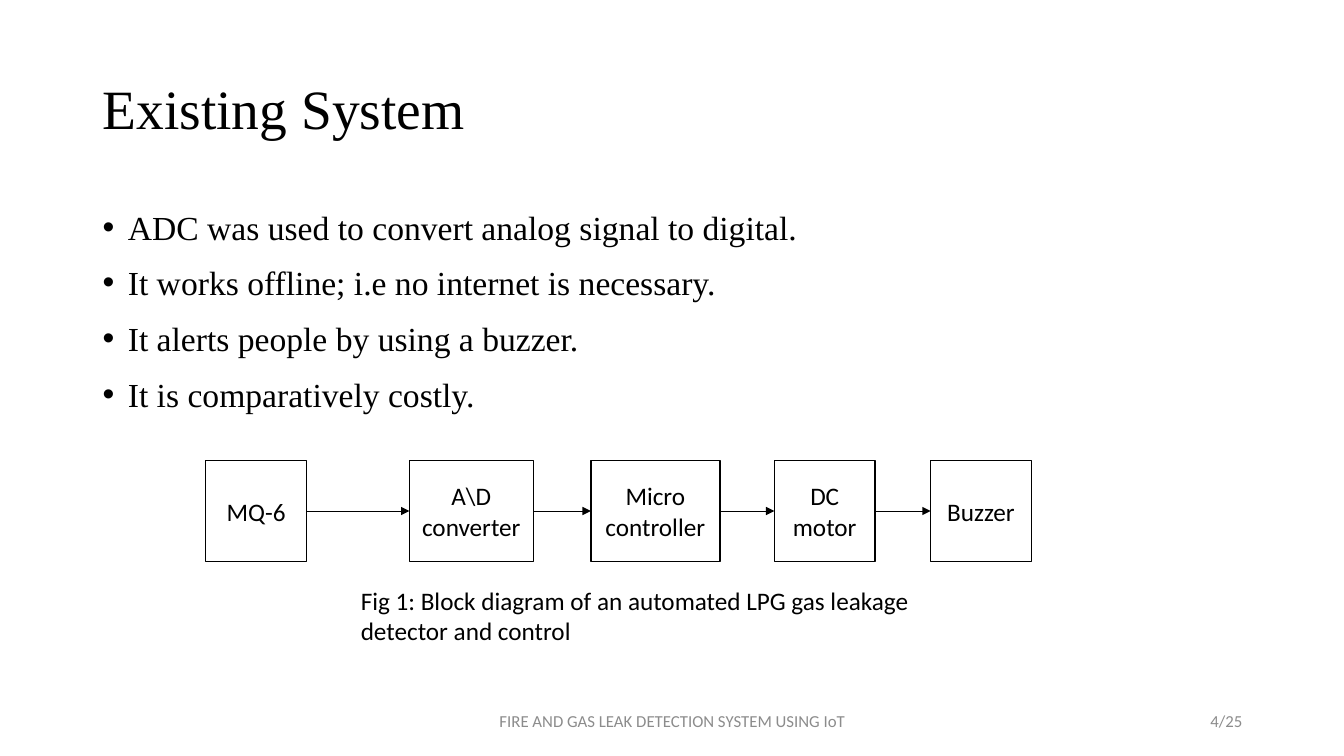
from dataclasses import dataclass

from lxml import etree
from pptx import Presentation
from pptx.dml.color import RGBColor
from pptx.enum.shapes import MSO_CONNECTOR, MSO_SHAPE
from pptx.enum.text import MSO_ANCHOR, PP_ALIGN
from pptx.oxml.ns import qn
from pptx.util import Inches, Pt

LEFT, CENTER, RIGHT = PP_ALIGN.LEFT, PP_ALIGN.CENTER, PP_ALIGN.RIGHT
TOP, MIDDLE = MSO_ANCHOR.TOP, MSO_ANCHOR.MIDDLE
RECT, STRAIGHT = MSO_SHAPE.RECTANGLE, MSO_CONNECTOR.STRAIGHT
SERIF, SANS = "Times New Roman", "Calibri"
COLORS = {"ink": "000000", "paper": "FFFFFF", "footer": "8C8C8C"}
BLOCK_TOP, BLOCK_HEIGHT = 4.57, 1


@dataclass
class Label:
    lines: list[str]
    left: float
    top: float
    width: float
    height: float
    size: float
    font: str = SANS
    color: str = "ink"
    align: PP_ALIGN = LEFT
    anchor: MSO_ANCHOR = TOP
    spacing: float = 1.0
    bulleted: bool = False


@dataclass
class Block:
    text: str
    left: float
    width: float = 1


LABELS = [
    Label(["Existing System"], 0.92, 0.79, 11.57, 0.64, 39.6, SERIF,
          anchor=MIDDLE, spacing=0.9),
    Label(["ADC was used to convert analog signal to digital.",
           "It works offline; i.e no internet is necessary.",
           "It alerts people by using a buzzer.",
           "It is comparatively costly."],
          0.92, 2, 11.5, 2.4, 24, SERIF, bulleted=True),
    Label(["Fig 1: Block diagram of an automated LPG gas leakage detector and control"],
          3.48, 5.76, 6.38, 1.01, 18),
    Label(["FIRE AND GAS LEAK DETECTION SYSTEM USING IoT"],
          4.42, 6.95, 4.5, 0.4, 12, color="footer", align=CENTER, anchor=MIDDLE),
    Label(["4/25"], 9.42, 6.95, 3, 0.4, 12,
          color="footer", align=RIGHT, anchor=MIDDLE),
]
BLOCKS = [
    Block("MQ-6", 2.04),
    Block("A\\D converter", 4.06, 1.23),
    Block("Micro controller", 5.86, 1.28),
    Block("DC motor", 7.68),
    Block("Buzzer", 9.23),
]


def rgb(name: str) -> RGBColor:
    return RGBColor.from_string(COLORS[name])


def add_run(p, text: str, size: float, font: str, color: str) -> None:
    r = p.add_run()
    r.text = text
    r.font.size = Pt(size)
    r.font.name = font
    r.font.color.rgb = rgb(color)


def add_bullet(p) -> None:
    p.space_before = Pt(11)
    pPr = p._p.get_or_add_pPr()
    pPr.set("marL", str(Inches(0.25)))
    pPr.set("indent", str(-Inches(0.25)))
    etree.SubElement(pPr, qn("a:buFont")).set("typeface", "Arial")
    etree.SubElement(pPr, qn("a:buChar")).set("char", "•")


def add_label(s, label: Label) -> None:
    sp = s.shapes.add_textbox(Inches(label.left), Inches(label.top),
                              Inches(label.width), Inches(label.height))
    tf = sp.text_frame
    tf.word_wrap = True
    tf.vertical_anchor = label.anchor
    for i, line in enumerate(label.lines):
        p = tf.add_paragraph() if i else tf.paragraphs[0]
        p.alignment = label.align
        p.line_spacing = label.spacing
        if label.bulleted:
            add_bullet(p)
        add_run(p, line, label.size, label.font, label.color)


def add_block(s, block: Block) -> None:
    sp = s.shapes.add_shape(RECT, Inches(block.left), Inches(BLOCK_TOP),
                            Inches(block.width), Inches(BLOCK_HEIGHT))
    sp.shadow.inherit = False
    sp.fill.solid()
    sp.fill.fore_color.rgb = rgb("paper")
    sp.line.color.rgb = rgb("ink")
    sp.line.width = Pt(1)
    tf = sp.text_frame
    tf.word_wrap = True
    tf.vertical_anchor = MIDDLE
    p = tf.paragraphs[0]
    p.alignment = CENTER
    add_run(p, block.text, 18, SANS, "ink")


def add_arrow(s, start: Block, end: Block) -> None:
    y = Inches(BLOCK_TOP + BLOCK_HEIGHT / 2)
    arrow = s.shapes.add_connector(STRAIGHT, Inches(start.left + start.width), y,
                                   Inches(end.left), y)
    arrow.line.color.rgb = rgb("ink")
    arrow.line.width = Pt(0.5)
    ln = arrow.line._get_or_add_ln()
    etree.SubElement(ln, qn("a:tailEnd")).set("type", "triangle")
    etree.SubElement(arrow._element.spPr, qn("a:effectLst"))


prs = Presentation()
prs.slide_width, prs.slide_height = Inches(13.33), Inches(7.5)
s = prs.slides.add_slide(prs.slide_layouts[6])
for label in LABELS:
    add_label(s, label)
for block in BLOCKS:
    add_block(s, block)
for start, end in zip(BLOCKS, BLOCKS[1:]):
    add_arrow(s, start, end)
prs.save("out.pptx")
